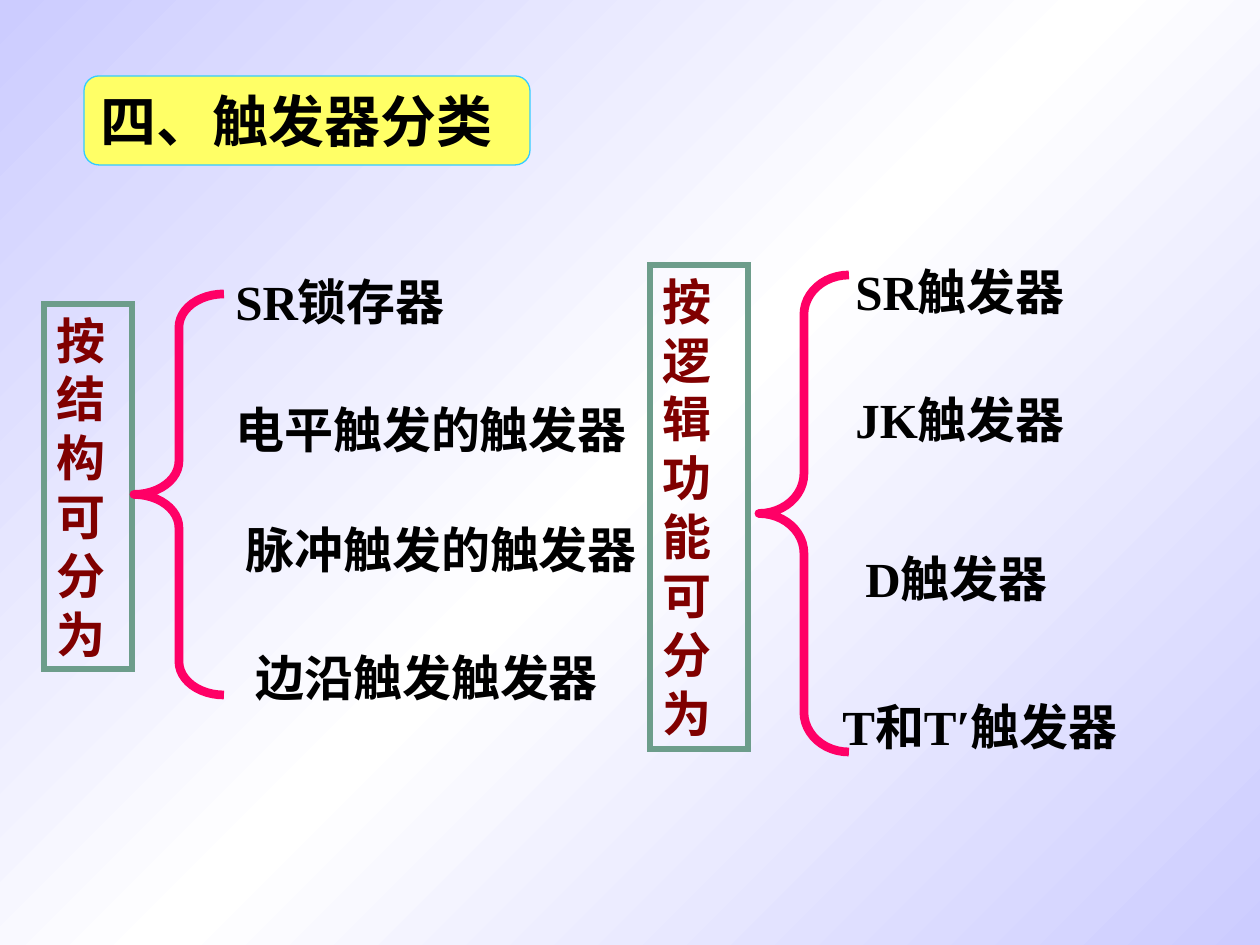
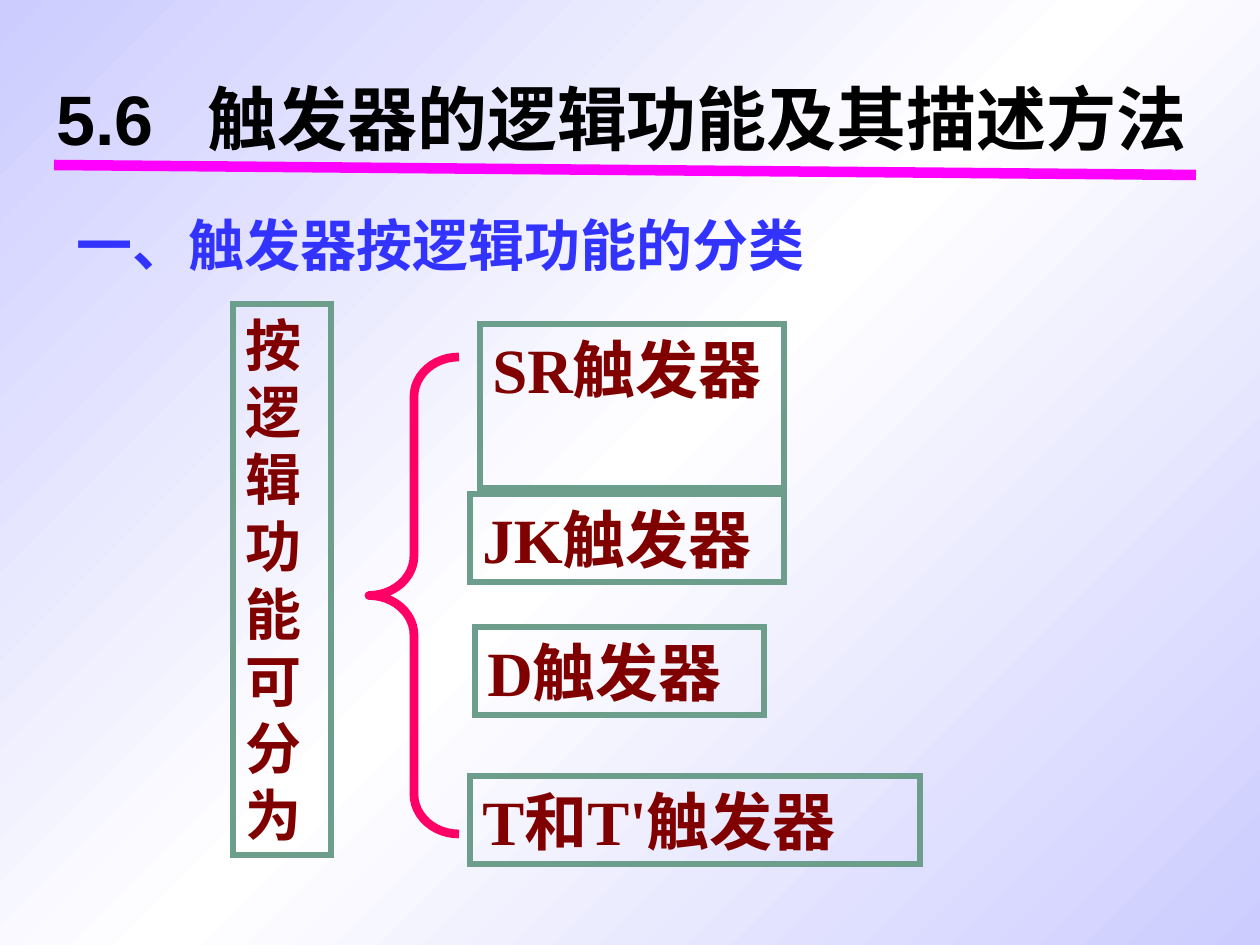
from copy import deepcopy

from lxml import etree
from pptx import Presentation
from pptx.dml.color import RGBColor
from pptx.enum.lang import MSO_LANGUAGE_ID
from pptx.enum.shapes import MSO_CONNECTOR, MSO_SHAPE
from pptx.enum.text import MSO_ANCHOR, MSO_AUTO_SIZE, PP_ALIGN
from pptx.oxml.ns import qn
from pptx.util import Pt

RECT, ROUND, BRACE = MSO_SHAPE.RECTANGLE, MSO_SHAPE.ROUNDED_RECTANGLE, MSO_SHAPE.LEFT_BRACE
STRAIGHT = MSO_CONNECTOR.STRAIGHT
TOP, MIDDLE = MSO_ANCHOR.TOP, MSO_ANCHOR.MIDDLE
LEFT = PP_ALIGN.LEFT
GROW, FIXED = MSO_AUTO_SIZE.SHAPE_TO_FIT_TEXT, MSO_AUTO_SIZE.NONE
CHINESE = MSO_LANGUAGE_ID.SIMPLIFIED_CHINESE

PX = 914400 / 126
SERIF, SANS = "Times New Roman", "Arial"
COLORS = {name: RGBColor.from_string(value) for name, value in {
    "lilac": "CCCCFF", "white": "FFFFFF", "black": "000000", "maroon": "800000",
    "green": "6D9D8B", "pink": "FF0066", "yellow": "FFFF66", "cyan": "33CCFF",
    "magenta": "FF00FF", "blue": "3333FF"}.items()}


def add_text(s, text, box, size=28, color="black", font=SERIF, shape=None, fill=None,
             line=None, width=3, anchor=TOP, wrap=True, fit=GROW, spacing=None, tab=None):
    """Add a text box, or a preset shape with text when shape is given."""
    place = [round(v * PX) for v in box]
    if shape is None:
        sp = s.shapes.add_textbox(*place)
    else:
        sp = s.shapes.add_shape(shape, *place)
        sp.shadow.inherit = False
        if fill:
            sp.fill.solid()
            sp.fill.fore_color.rgb = COLORS[fill]
        else:
            sp.fill.background()
        sp.line.color.rgb = COLORS[line]
        sp.line.width = Pt(width)
        if shape == RECT:
            etree.SubElement(sp.element.spPr.find(qn("a:ln")), qn("a:miter"), lim="800000")
    if text:
        tf = sp.text_frame
        tf.word_wrap, tf.auto_size, tf.vertical_anchor = wrap, fit, anchor
        p = tf.paragraphs[0]
        p.alignment = LEFT
        if spacing:
            p.line_spacing = spacing
        if tab:
            tabs = etree.SubElement(p._p.get_or_add_pPr(), qn("a:tabLst"))
            etree.SubElement(tabs, qn("a:tab"), pos=str(round(tab * PX)), algn="l")
        r = p.add_run()
        r.text = text
        r.font.name, r.font.size, r.font.bold = font, Pt(size), True
        r.font.color.rgb = COLORS[color]
        r.font.language_id = CHINESE
    return sp


def add_slide(prs):
    """Add a blank slide with the diagonal lilac gradient."""
    s = prs.slides.add_slide(prs.slide_layouts[6])
    fill = s.background.fill
    fill.gradient()
    fill.gradient_angle = 315
    stops = s.element.find(".//" + qn("a:gsLst"))
    stops.append(deepcopy(stops[0]))
    for i, name in enumerate(["lilac", "white", "lilac"]):
        stop = fill.gradient_stops[i]
        stop.position = i / 2
        stop.color.rgb = COLORS[name]
    return s


prs = Presentation()
prs.slide_width, prs.slide_height = round(1260 * PX), round(945 * PX)
classes, functions = add_slide(prs), add_slide(prs)
framed = {"shape": RECT, "line": "green", "color": "maroon"}

# Slide 1: title
title = add_text(classes, "四、触发器分类", (84, 76, 446, 89), size=32, font=SANS, shape=ROUND,
                 fill="yellow", line="cyan", width=0.75, anchor=MIDDLE, fit=FIXED)
title.adjustments[0] = 0.167

# Slide 1: the two criteria
add_text(classes, "按结构可分为", (44, 304, 88, 365), **framed)
add_text(classes, "按逻辑功能可分为", (650, 265, 98, 484), **framed)

# Slide 1: kinds by structure
for text, x, y, w in [("SR锁存器", 223, 265, 484), ("电平触发的触发器", 223, 393, 484),
                      ("脉冲触发的触发器", 233, 513, 484), ("边沿触发触发器", 243, 641, 387)]:
    add_text(classes, text, (x, y, w, 72))

# Slide 1: kinds by logic function
for text, x, y, w in [("SR触发器", 843, 255, 257), ("JK触发器", 843, 383, 257),
                      ("D触发器", 853, 542, 229), ("T和T′触发器", 830, 690, 347)]:
    add_text(classes, text, (x, y, w, 72), wrap=False)

# Slide 2: title and rule
add_text(functions, "5.6\t触发器的逻辑功能及其描述方法", (44, 79, 1216, 88), size=40,
         font=SANS, anchor=MIDDLE, spacing=0.9, tab=151)
rule = functions.shapes.add_connector(STRAIGHT, *[round(v * PX) for v in (54, 165, 1196, 175)])
rule.line.color.rgb = COLORS["magenta"]
rule.line.width = Pt(6)
etree.SubElement(rule.element.spPr, qn("a:effectLst"))

# Slide 2: heading, criterion and kinds
add_text(functions, "一、触发器按逻辑功能的分类", (64, 204, 774, 81), size=32, color="blue")
add_text(functions, "按逻辑功能可分为", (233, 304, 98, 551), size=32, **framed)
for text, box in [("SR触发器", (480, 324, 304, 164)), ("JK触发器", (470, 494, 314, 88)),
                  ("D触发器", (475, 627, 289, 88)), ("T和T'触发器", (470, 776, 450, 88))]:
    add_text(functions, text, box, size=36, **framed)

# Braces on both slides, each bend a twelfth of the height
for s, x, y, h in [(classes, 134, 294, 401), (classes, 759, 275, 477), (functions, 369, 357, 477)]:
    brace = add_text(s, "", (x, y, 90, h), shape=BRACE, line="pink", width=5)
    brace.adjustments[0] = h / 12 / 90

prs.save("out.pptx")
